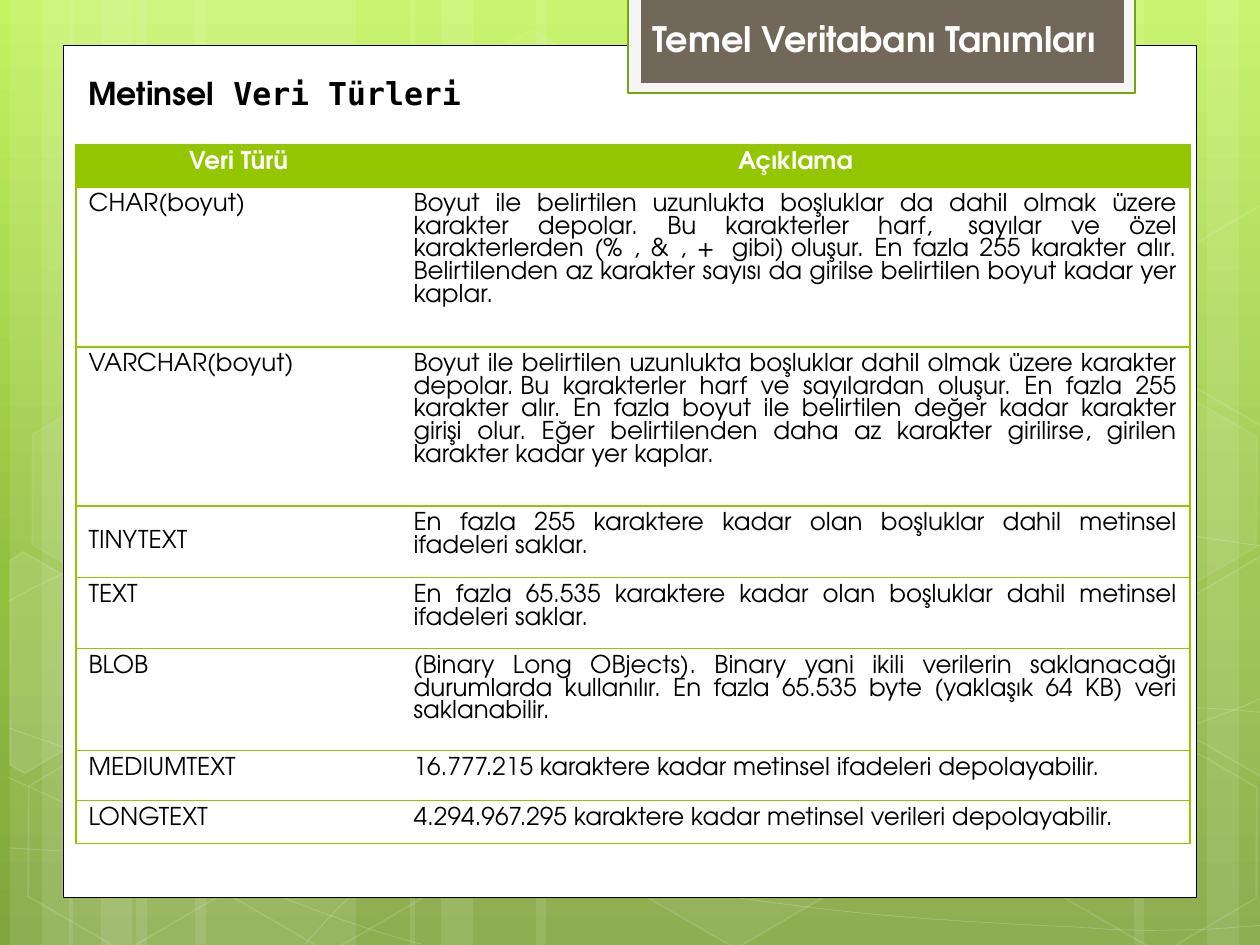
from copy import deepcopy

from lxml.etree import SubElement
from pptx import Presentation
from pptx.dml.color import RGBColor
from pptx.enum.shapes import MSO_SHAPE as Preset
from pptx.enum.text import MSO_ANCHOR as Anchor, PP_ALIGN as Align
from pptx.oxml.ns import qn
from pptx.util import Inches, Pt

PX = Inches(1) / 126
WIDTH, HEIGHT = 1260, 945
SANS, MONO = "TeX Gyre Adventor", "DejaVu Sans Mono"
PLAIN_TABLE = "{2D5ABB26-0587-4C30-8999-92F81FD0307C}"
NBSP = chr(160)
WHITE = RGBColor(0xFF, 0xFF, 0xFF)
BLACK = RGBColor(0, 0, 0)
SMOKE = RGBColor(0xF5, 0xF5, 0xF5)
TAUPE = RGBColor(0x71, 0x68, 0x5A)
GREEN = RGBColor(0x94, 0xC6, 0x00)
MOSS = RGBColor(0x74, 0xA5, 0x10)
BACKDROP = [(0, RGBColor(0xC3, 0xF3, 0x5F)), (0.62, RGBColor(0x93, 0xBF, 0x3F)),
            (1, RGBColor(0x81, 0xA5, 0x3E))]

# Left edge, width and rotation of each pale vertical band
BANDS = [(136, 220, 0), (10, 63, 0), (42, 105, 0), (195, 220, 0), (69, 63, 0), (101, 105, 0),
         (924, 220, 180), (1207, 63, 180), (1134, 105, 180),
         (536, 388, 0), (410, 63, 0), (441, 105, 0)]

# Start point, then Bezier segments (two controls and an end)
WAVES = [
    [(9, 848), (77, 852), (145, 856), (239, 854), (334, 853), (451, 851), (577, 838),
     (703, 825), (882, 801), (998, 777), (1113, 753), (1231, 716), (1269, 694)],
    [(9, 601), (45, 581), (82, 562), (152, 543), (224, 524), (326, 496), (437, 488),
     (549, 479), (685, 478), (824, 488), (963, 498), (1193, 537), (1269, 547)],
    [(8, 777), (160, 847), (311, 916), (421, 944)],
    [(9, 728), (48, 742), (88, 756), (161, 776), (234, 795), (344, 827), (450, 848),
     (554, 869), (687, 892), (791, 905), (896, 919), (1008, 924), (1075, 927),
     (1140, 932), (1158, 930), (1191, 930), (1223, 929), (1246, 926), (1269, 925)],
    [(305, 944), (328, 919), (350, 893), (381, 871), (411, 848), (454, 823), (489, 805),
     (524, 788), (546, 780), (592, 767), (638, 755), (722, 737), (766, 728),
     (811, 719), (818, 719), (857, 717), (896, 713), (958, 709), (1000, 708),
     (1045, 707), (1116, 708), (1116, 708), (1144, 708), (1173, 708), (1201, 708),
     (1223, 709), (1245, 711), (1256, 712), (1268, 713), (1264, 712), (1268, 713)],
]

# Left, top, fill opacity and line opacity in percent
HEXAGONS = [(421, 45, 4, 8), (626, 742, 6, 12), (14, 745, 0, 12), (18, 393, 7, 8),
            (219, 746, 0, 12), (949, 571, 10, 12), (1051, 747, 0, 12), (1051, 396, 7, 8)]
# Hexagons cut by the slide edge: corners around a centre, before rotation
LEFT_CUT = [(-87, -81), (-80, -95), (32, -96), (86, 1), (32, 96), (15, 96)]
RIGHT_CUT = [(-86, -1), (-32, -96), (-20, -96), (85, 86), (80, 95), (-31, 95)]
CUT_HEXAGONS = [(45, 674, LEFT_CUT, 10), (1241, 655, RIGHT_CUT, 4), (1241, 304, RIGHT_CUT, 0)]

ROW_EDGES = [145, 187, 347, 506, 578, 649, 751, 801, 844]
TYPES = [
    ("Veri Türü", "Açıklama"),
    ("CHAR(boyut)", "Boyut ile belirtilen uzunlukta boşluklar da dahil olmak üzere karakter "
     f"depolar. Bu karakterler harf,{NBSP} sayılar ve özel karakterlerden (% , & , +{NBSP} "
     f"gibi){NBSP}oluşur. En fazla 255 karakter alır. Belirtilenden az karakter sayısı da "
     "girilse belirtilen boyut kadar yer kaplar."),
    ("VARCHAR(boyut)", "Boyut ile belirtilen uzunlukta boşluklar dahil olmak üzere karakter "
     f"depolar.{NBSP}Bu karakterler harf ve sayılardan oluşur. En fazla 255 karakter alır. "
     "En fazla boyut ile belirtilen değer kadar karakter girişi olur. Eğer belirtilenden "
     "daha az karakter girilirse, girilen karakter kadar yer kaplar."),
    ("TINYTEXT", "En fazla 255 karaktere kadar olan boşluklar dahil metinsel ifadeleri saklar."),
    ("TEXT", "En fazla 65.535 karaktere kadar olan boşluklar dahil metinsel ifadeleri saklar."),
    ("BLOB", "(Binary Long OBjects). Binary yani ikili verilerin saklanacağı durumlarda "
     "kullanılır. En fazla 65.535 byte (yaklaşık 64 KB) veri saklanabilir."),
    ("MEDIUMTEXT", "16.777.215 karaktere kadar metinsel ifadeleri depolayabilir."),
    ("LONGTEXT", "4.294.967.295 karaktere kadar metinsel verileri depolayabilir."),
]


def px(*lengths):
    return [round(length * PX) for length in lengths]


def write(para, text, size=14, font=SANS, color=BLACK, bold=False):
    span = para.add_run()
    span.text = text
    span.font.size, span.font.name, span.font.bold = Pt(size), font, bold
    span.font.color.rgb = color


def fade(parent, percent):
    color = parent.find(qn("a:solidFill")).find(qn("a:srgbClr"))
    SubElement(color, qn("a:alpha"), val=str(percent * 1000))


def bend(shape):
    """Turn each three straight steps into one Bezier segment."""
    outline = shape.element.find(".//" + qn("a:path"))
    steps = outline.findall(qn("a:lnTo"))
    for first in range(0, len(steps), 3):
        curve = SubElement(outline, qn("a:cubicBezTo"))
        for step in steps[first:first + 3]:
            curve.append(step[0])
            outline.remove(step)


class SlideBuilder:
    def __init__(self, page):
        self.page = page

    def backdrop(self, stops):
        fill = self.page.background.fill
        fill.gradient()
        fill.gradient_angle = 270
        stop_list = self.page.element.find(".//" + qn("a:gsLst"))
        stop_list.insert(1, deepcopy(stop_list[0]))
        for stop, (position, color) in zip(fill.gradient_stops, stops):
            stop.position, stop.color.rgb = position, color

    def style(self, shape, fill=None, opacity=100, line=None, weight=1, line_opacity=100,
              rotation=0):
        shape.shadow.inherit = False
        shape.rotation = rotation
        properties = shape.element.spPr
        if fill is not None and opacity:
            shape.fill.solid()
            shape.fill.fore_color.rgb = fill
            if opacity < 100:
                fade(properties, opacity)
        else:
            shape.fill.background()
        if line is None:
            shape.line.fill.background()
            return
        shape.line.color.rgb, shape.line.width = line, Pt(weight)
        if line_opacity < 100:
            fade(properties.find(qn("a:ln")), line_opacity)

    def preset(self, left, top, width, height, kind=Preset.RECTANGLE, **look):
        shape = self.page.shapes.add_shape(kind, *px(left, top, width, height))
        self.style(shape, **look)
        return shape

    def outline(self, points, close=False, **look):
        builder = self.page.shapes.build_freeform(*points[0], scale=PX)
        builder.add_line_segments(points[1:], close=close)
        shape = builder.convert_to_shape()
        self.style(shape, **look)
        return shape

    def text(self, left, top, width, height, *spans):
        box = self.page.shapes.add_textbox(*px(left, top, width, height))
        box.text_frame.word_wrap = True
        for text, look in spans:
            write(box.text_frame.paragraphs[0], text, bold=True, **look)

    def border(self, cell, side):
        line = SubElement(cell._tc.get_or_add_tcPr(), qn("a:ln" + side), w=str(Pt(0.75)))
        SubElement(SubElement(line, qn("a:solidFill")), qn("a:srgbClr"), val=str(GREEN))

    def table(self, left, columns, edges, rows):
        frame = self.page.shapes.add_table(
            len(rows), len(columns), *px(left, edges[0], sum(columns), edges[-1] - edges[0]))
        frame.element.find(".//" + qn("a:tableStyleId")).text = PLAIN_TABLE
        table = frame.table
        table.horz_banding = False
        for column, width in zip(table.columns, px(*columns)):
            column.width = width
        for r, texts in enumerate(rows):
            table.rows[r].height = px(edges[r + 1] - edges[r])[0]
            header = r == 0
            for c, text in enumerate(texts):
                cell = table.cell(r, c)
                for side in ("LR"[c], "T" if header else "", "B"):
                    if side:
                        self.border(cell, side)
                if header:
                    cell.fill.solid()
                    cell.fill.fore_color.rgb = GREEN
                else:
                    cell.fill.background()
                para = cell.text_frame.paragraphs[0]
                para.alignment = Align.CENTER if header else (Align.LEFT, Align.JUSTIFY)[c]
                para.line_spacing = Pt(13)
                write(para, text, color=WHITE if header else BLACK, bold=header)
                if text == "TINYTEXT":
                    cell.vertical_anchor = Anchor.MIDDLE


def main():
    deck = Presentation()
    deck.slide_width, deck.slide_height = px(WIDTH, HEIGHT)
    slide = SlideBuilder(deck.slides.add_slide(deck.slide_layouts[6]))

    # Backdrop: bands, waves and hexagons
    slide.backdrop(BACKDROP)
    for left, width, turn in BANDS:
        slide.preset(left, 0, width, HEIGHT, fill=WHITE, opacity=10, rotation=turn)
    for points in WAVES:
        bend(slide.outline(points, line=WHITE, weight=0.5, line_opacity=20))
    for left, top, opacity, line_opacity in HEXAGONS:
        hexagon = slide.preset(left, top, 220, 192, Preset.HEXAGON, fill=WHITE, rotation=30,
                               opacity=opacity, line=WHITE, line_opacity=line_opacity)
        hexagon.adjustments[0] = 0.285
    for x, y, corners, opacity in CUT_HEXAGONS:
        slide.outline([(x + dx, y + dy) for dx, dy in corners], close=True, fill=WHITE,
                      opacity=opacity, line=WHITE, line_opacity=12, rotation=30)

    # Sheet and title tab
    slide.preset(63, 45, 1134, 853, fill=WHITE, line=BLACK, weight=0.5)
    slide.preset(628, -2, 507, 95, fill=SMOKE, line=MOSS, weight=1.25)
    slide.preset(641, -2, 483, 85, fill=TAUPE)
    slide.text(640, 11, 476, 97, ("Temel Veritabanı Tanımları", dict(size=20, color=WHITE)))

    # Heading and table of text types
    slide.text(76, 68, 1087, 50, ("Metinsel", dict(size=18)),
               (" Veri Türleri", dict(size=18, font=MONO)))
    slide.table(76, (325, 789), ROW_EDGES, TYPES)

    deck.save("out.pptx")


if __name__ == "__main__":
    main()
